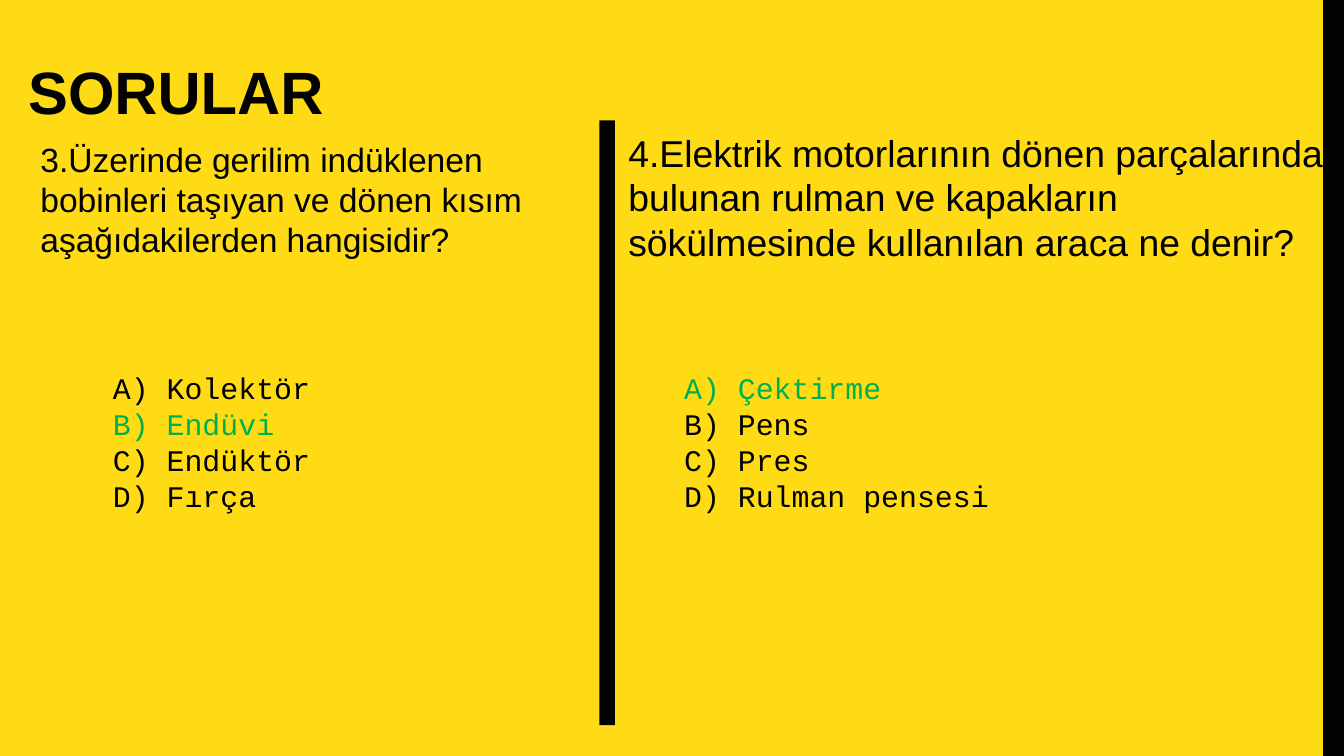
import dataclasses

import pptx
import pptx.dml.color
import pptx.enum.shapes
import pptx.enum.text
import pptx.oxml
import pptx.oxml.ns
import pptx.util

Pt = pptx.util.Pt
Anchor = pptx.enum.text.MSO_ANCHOR


@dataclasses.dataclass(frozen=True)
class Theme:
    """Colours, fonts and type sizes of the slide."""
    background: str = "FFDB15"
    bar: str = "020301"
    ink: str = "000000"
    answer: str = "00B050"
    sans: str = "Arial"
    mono: str = "Courier New"
    title: int = 64
    options: int = 32


THEME = Theme()
COMPARISON_LAYOUT = 4
OPTIONS_TOP = 392.4
QUESTIONS = [
    {
        "lines": ["3.Üzerinde gerilim indüklenen",
                  "bobinleri taşıyan ve dönen kısım aşağıdakilerden hangisidir?"],
        "area": (36, 144.72, 660.24, 138.24),
        "size": 36,
        "options": ["A) Kolektör", "B) Endüvi", "C) Endüktör", "D) Fırça"],
        "options_left": 113.76,
        "correct": 1,
    },
    {
        "lines": ["4.Elektrik motorlarının dönen parçalarında bulunan rulman "
                  "ve kapakların sökülmesinde kullanılan araca ne denir?"],
        "area": (666, 135.36, 761.04, 200.88),
        "size": 40,
        "options": ["A) Çektirme", "B) Pens", "C) Pres", "D) Rulman pensesi"],
        "options_left": 725.76,
        "correct": 0,
    },
]


def set_values(target, values):
    """Set each named attribute on the target."""
    for name, value in values.items():
        setattr(target, name, value)


def paint(fill, colour):
    """Give a fill one solid colour."""
    fill.solid()
    fill.fore_color.rgb = pptx.dml.color.RGBColor.from_string(colour)


def place(shape, area):
    """Move and size a shape in points."""
    names = ("left", "top", "width", "height")
    set_values(shape, dict(zip(names, map(Pt, area))))


def add_bar(page, area):
    """Draw a solid vertical bar."""
    rectangle = pptx.enum.shapes.MSO_SHAPE.RECTANGLE
    bar = page.shapes.add_shape(rectangle, *map(Pt, area))
    bar.shadow.inherit = False
    paint(bar.fill, THEME.bar)
    bar.line.fill.background()


def remove_bullet(paragraph):
    """Turn off the bullet and the indents of a paragraph."""
    properties = paragraph._p.get_or_add_pPr()
    properties.set("marL", "0")
    properties.set("indent", "0")
    properties.append(pptx.oxml.parse_xml(
        f"<a:buNone {pptx.oxml.ns.nsdecls('a')}/>"))


def fill_box(box, area, lines, font, margins=(7.2, 3.6), spacing=1.0):
    """Place a placeholder and write its (text, colour) lines."""
    place(box, area)
    frame = box.text_frame
    side, end = map(Pt, margins)
    set_values(frame, {
        "margin_left": side, "margin_right": side,
        "margin_top": end, "margin_bottom": end,
        "word_wrap": True, "vertical_anchor": Anchor.TOP,
        "auto_size": pptx.enum.text.MSO_AUTO_SIZE.NONE,
    })
    frame.text = "\n".join(text for text, _ in lines)
    for paragraph, (_, colour) in zip(frame.paragraphs, lines):
        remove_bullet(paragraph)
        set_values(paragraph, {
            "alignment": pptx.enum.text.PP_ALIGN.LEFT,
            "line_spacing": spacing, "space_before": Pt(0),
        })
        for span in paragraph.runs:
            set_values(span.font, font)
            paint(span.font.fill, colour)


def add_question(question_box, options_box, question):
    """Write a question and its options with the answer highlighted."""
    fill_box(question_box, question["area"],
             [(line, THEME.ink) for line in question["lines"]],
             {"name": THEME.sans, "size": Pt(question["size"]), "bold": False})
    options = [(text, THEME.answer if index == question["correct"] else THEME.ink)
               for index, text in enumerate(question["options"])]
    fill_box(options_box, (question["options_left"], OPTIONS_TOP, 720, 162.72),
             options,
             {"name": THEME.mono, "size": Pt(THEME.options), "bold": False})


def main():
    """Build the quiz slide and save it."""
    deck = pptx.Presentation()
    set_values(deck, {"slide_width": Pt(1440), "slide_height": Pt(810)})
    page = deck.slides.add_slide(deck.slide_layouts[COMPARISON_LAYOUT])
    paint(page.background.fill, THEME.background)
    add_bar(page, (642.24, 128.88, 16.56, 648))
    add_bar(page, (1417.68, -18.72, 44.64, 848.16))
    title, *boxes = page.placeholders
    fill_box(title, (30.24, 51.12, 550.8, 72.72), [("SORULAR", THEME.bar)],
             {"name": THEME.sans, "size": Pt(THEME.title), "bold": True},
             margins=(0, 0), spacing=1.1)
    for question_box, options_box, question in zip(boxes[::2], boxes[1::2], QUESTIONS):
        add_question(question_box, options_box, question)
    deck.save("out.pptx")


if __name__ == "__main__":
    main()
